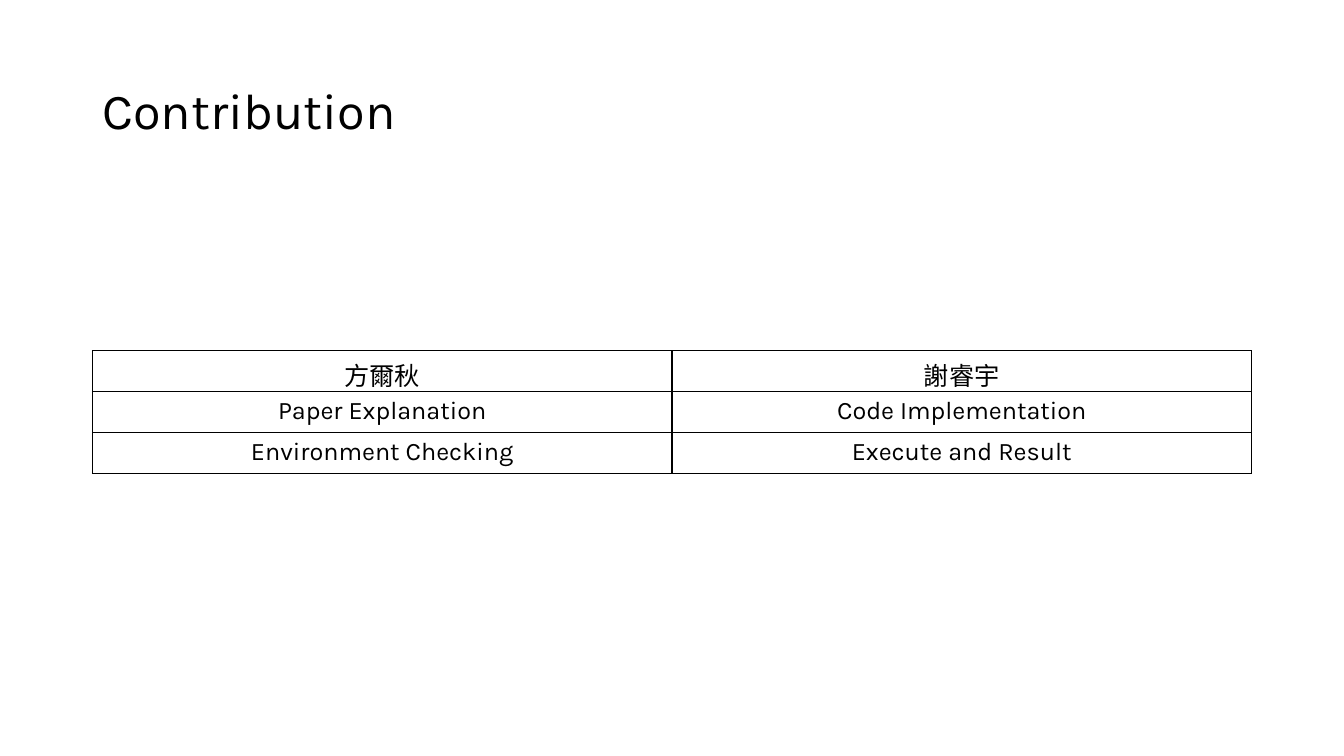
"""Contribution slide: a title above a two-column table of who did what."""
from lxml.etree import SubElement
from pptx import Presentation
from pptx.dml.color import RGBColor
from pptx.enum.text import MSO_ANCHOR, PP_ALIGN
from pptx.oxml.ns import qn
from pptx.util import Pt

TITLE = "Contribution"
ROWS = [
    ("方爾秋", "謝睿宇"),
    ("Paper Explanation", "Code Implementation"),
    ("Environment Checking", "Execute and Result"),
]
COLORS = {"ink": "000000"}
FONT = "Karla"
LEFT, WIDTH = 66, 828
TITLE_TOP, TITLE_H = 28.75, 104.4
TABLE_TOP, ROW_H = 250.6, 29.2
BORDER_W = 1


def style_text(p, size):
    for r in p.runs:
        r.font.name = FONT
        r.font.size = Pt(size)
        r.font.color.rgb = RGBColor.from_string(COLORS["ink"])


def add_borders(cell):
    tc_pr = cell._tc.get_or_add_tcPr()
    for side in ("a:lnL", "a:lnR", "a:lnT", "a:lnB"):
        ln = SubElement(tc_pr, qn(side), w=str(Pt(BORDER_W)))
        fill = SubElement(ln, qn("a:solidFill"))
        SubElement(fill, qn("a:srgbClr"), val=COLORS["ink"])


def add_title(s):
    tf = s.shapes.add_textbox(Pt(LEFT), Pt(TITLE_TOP), Pt(WIDTH), Pt(TITLE_H)).text_frame
    tf.word_wrap = True
    tf.vertical_anchor = MSO_ANCHOR.MIDDLE
    p = tf.paragraphs[0]
    p.text = TITLE
    p.line_spacing = 0.9
    style_text(p, 36)


def add_tasks(s):
    n_rows, n_cols = len(ROWS), len(ROWS[0])
    table = s.shapes.add_table(n_rows, n_cols, Pt(LEFT), Pt(TABLE_TOP),
                               Pt(WIDTH), Pt(ROW_H * n_rows)).table
    table.first_row = table.horz_banding = False
    for i, texts in enumerate(ROWS):
        table.rows[i].height = Pt(ROW_H)
        for j, text in enumerate(texts):
            cell = table.cell(i, j)
            add_borders(cell)
            cell.fill.background()
            p = cell.text_frame.paragraphs[0]
            p.text = text
            p.alignment = PP_ALIGN.CENTER
            style_text(p, 18)


def main():
    prs = Presentation()
    prs.slide_width, prs.slide_height = Pt(960), Pt(540)
    s = prs.slides.add_slide(prs.slide_layouts[6])
    add_title(s)
    add_tasks(s)
    prs.save("out.pptx")


if __name__ == "__main__":
    main()
